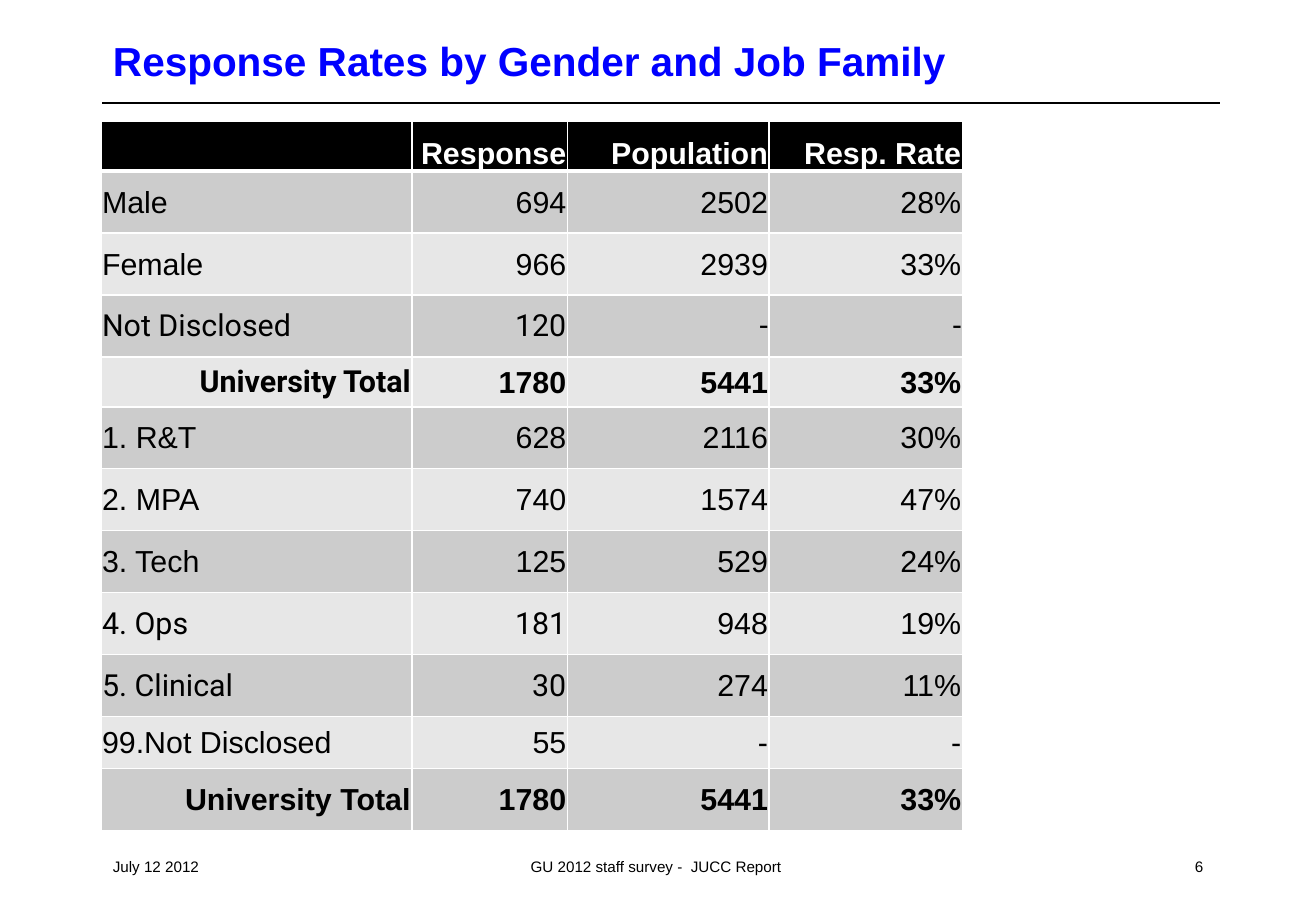
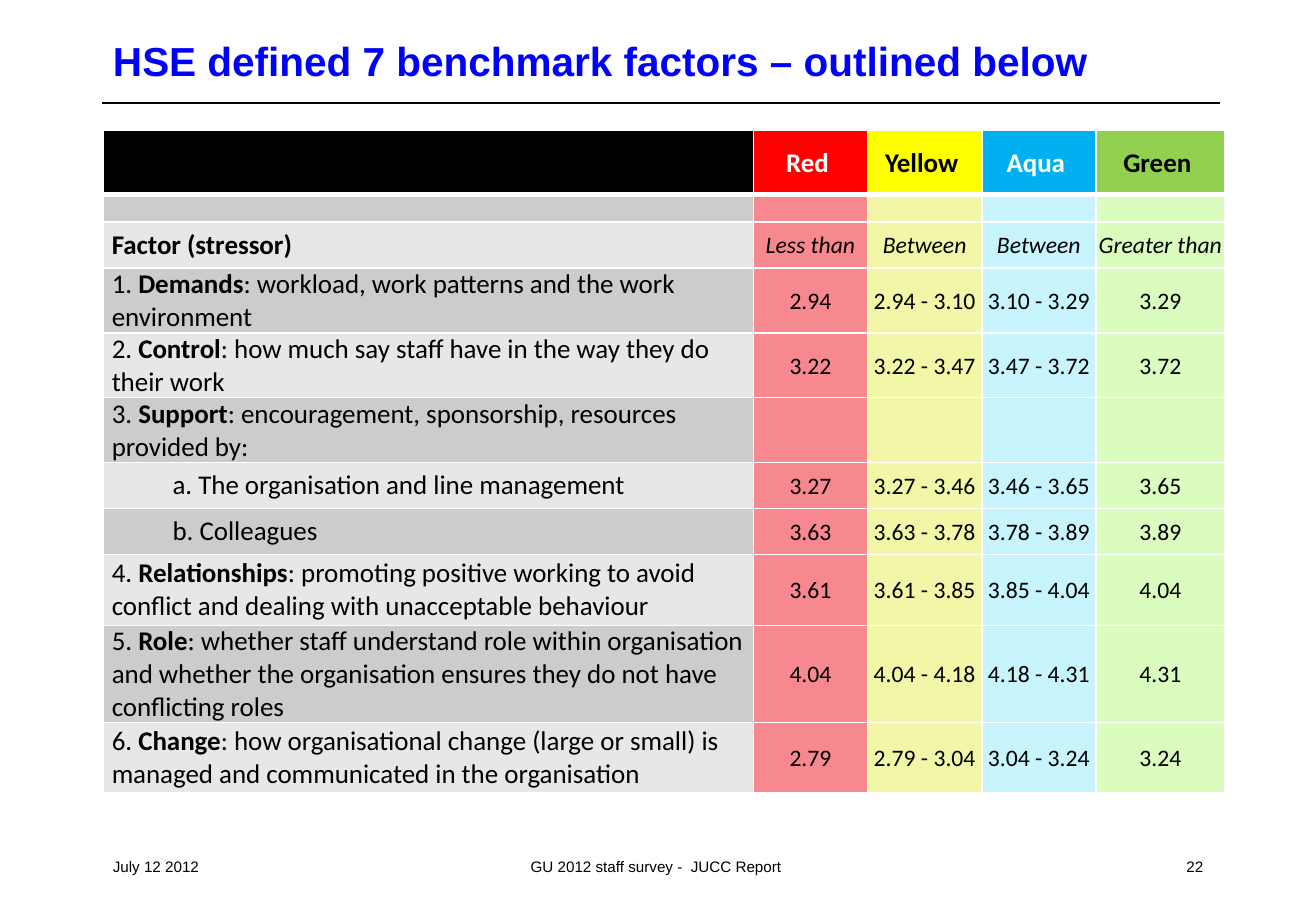
from pptx import Presentation
from pptx.dml.color import RGBColor
from pptx.enum.shapes import MSO_CONNECTOR
from pptx.enum.text import MSO_ANCHOR, MSO_AUTO_SIZE, PP_ALIGN
from pptx.oxml import parse_xml
from pptx.oxml.ns import nsdecls
from pptx.oxml.xmlchemy import OxmlElement
from pptx.util import Inches, Pt

LEFT, CENTER, RIGHT = PP_ALIGN.LEFT, PP_ALIGN.CENTER, PP_ALIGN.RIGHT
TOP, MIDDLE, BOTTOM = MSO_ANCHOR.TOP, MSO_ANCHOR.MIDDLE, MSO_ANCHOR.BOTTOM
NO_FIT = MSO_AUTO_SIZE.NONE
STRAIGHT = MSO_CONNECTOR.STRAIGHT

rgb = RGBColor.from_string
BLACK, WHITE, TITLE_BLUE = "000000", "FFFFFF", "0000FF"
BANDS = ["CCCCCC", "E7E7E7"]
TITLE_FONT = {"name": "Arial", "size": Pt(24), "bold": True}
FOOTER_FONT = {"name": "Arial", "size": Pt(9)}
TITLE_ONLY = 5

prs = Presentation()
prs.slide_width, prs.slide_height = Inches(10.83), Inches(7.5)


def start_slide(title_text, number, table_box, column_widths, row_heights):
    """Add a slide with title, rule, footer and an empty table; return the table."""
    slide = prs.slides.add_slide(prs.slide_layouts[TITLE_ONLY])
    title = slide.shapes.title
    title.left, title.top, title.width, title.height = (
        Inches(v) for v in (0.83, 0.25, 9.16, 0.58))
    title.text_frame.text = title_text
    title.text_frame.vertical_anchor = TOP
    title.text_frame.auto_size = NO_FIT
    heading = title.text_frame.paragraphs[0]
    heading.alignment = LEFT
    for key, value in TITLE_FONT.items():
        setattr(heading.runs[0].font, key, value)
    heading.runs[0].font.color.rgb = rgb(TITLE_BLUE)

    rule = slide.shapes.add_connector(
        STRAIGHT, Inches(0.84), Inches(0.85), Inches(10.04), Inches(0.85))
    rule.line.color.rgb = rgb(BLACK)
    rule.line.width = Pt(1)
    rule._element.spPr.append(OxmlElement("a:effectLst"))

    for text, left, width, align in [
        ("July 12 2012", 0.83, 2.25, LEFT),
        ("GU 2012 staff survey -  JUCC Report ", 3.51, 3.81, CENTER),
        (str(number), 7.75, 2.25, RIGHT),
    ]:
        footer = slide.shapes.add_textbox(
            Inches(left), Inches(6.92), Inches(width), Inches(0.42)).text_frame
        footer.word_wrap = True
        footer.vertical_anchor = MIDDLE
        footer.text = text
        line = footer.paragraphs[0]
        line.alignment = align
        for key, value in FOOTER_FONT.items():
            setattr(line.runs[0].font, key, value)
        line.runs[0].font.color.rgb = rgb(BLACK)

    table = slide.shapes.add_table(
        len(row_heights), len(column_widths), *(Inches(v) for v in table_box)).table
    for column, width in zip(table.columns, column_widths):
        column.width = Inches(width)
    for row, height in zip(table.rows, row_heights):
        row.height = Inches(height)
    return table


def write_cell(cell, text, fill, font, color=BLACK, align=LEFT, anchor=MIDDLE,
               margins=(0.01, 0.01, 0.01, 0), bottom_line=1):
    """Fill one cell; parts of the text between | signs are bold."""
    properties = cell._tc.get_or_add_tcPr()
    for side, points in [("L", 1), ("R", 1), ("T", 1), ("B", bottom_line)]:
        properties.append(parse_xml(
            f'<a:ln{side} {nsdecls("a")} w="{Pt(points)}"><a:solidFill>'
            f'<a:srgbClr val="{WHITE}"/></a:solidFill></a:ln{side}>'))
    cell.fill.solid()
    cell.fill.fore_color.rgb = rgb(fill)
    cell.vertical_anchor = anchor
    (cell.margin_left, cell.margin_top,
     cell.margin_right, cell.margin_bottom) = (Inches(v) for v in margins)
    paragraph = cell.text_frame.paragraphs[0]
    paragraph.alignment = align
    if not text:
        paragraph._p.get_or_add_endParaRPr().set("sz", "1300")
        return
    for index, part in enumerate(text.split("|")):
        if not part:
            continue
        run = paragraph.add_run()
        run.text = part
        run.font.bold = index % 2 == 1
        run.font.color.rgb = rgb(color)
        for key, value in font.items():
            setattr(run.font, key, value)


# Response rates
TOTAL = "University Total"
response_rows = [
    ("", "Response", "Population", "Resp. Rate"),
    ("Male", "694", "2502", "28%"),
    ("Female", "966", "2939", "33%"),
    ("Not Disclosed", "120", "-", "-"),
    (TOTAL, "1780", "5441", "33%"),
    ("1. R&T", "628", "2116", "30%"),
    ("2. MPA", "740", "1574", "47%"),
    ("3. Tech", "125", "529", "24%"),
    ("4. Ops", "181", "948", "19%"),
    ("5. Clinical", "30", "274", "11%"),
    ("99.Not Disclosed", "55", "-", "-"),
    (TOTAL, "1780", "5441", "33%"),
]
# Row number: how many leading cells are set in Roboto
roboto_cells = {3: 4, 4: 1, 8: 2, 9: 2}
response_heights = [0.41] + [0.51] * 3 + [0.41] + [0.51] * 5 + [0.43, 0.51]
response_table = start_slide(
    "Response Rates by Gender and Job Family", 6, (0.83, 1, 7.1, 5.85),
    [2.56, 1.28, 1.66, 1.59], response_heights)
for r, values in enumerate(response_rows):
    header, total = r == 0, values[0] == TOTAL
    for c, value in enumerate(values):
        write_cell(
            response_table.cell(r, c), value,
            BLACK if header else BANDS[(r - 1) % 2],
            {"name": "Roboto" if c < roboto_cells.get(r, 0) else "Arial",
             "size": Pt(18), "bold": header or total},
            color=WHITE if header else BLACK,
            align=RIGHT if c or total else LEFT,
            anchor=BOTTOM if header else MIDDLE,
            bottom_line=3 if header else 1)

# Benchmark factors
# Rating, header fill, header text colour, column fill
ratings = [
    ("Red ", "FF0000", WHITE, "F88890"),
    ("Yellow ", "FFFF00", BLACK, "F1F7A7"),
    ("Aqua ", "00B0F0", WHITE, "C7F4FD"),
    ("Green ", "92D050", BLACK, "DAFDBF"),
]
# Factor and the three limits between the four ratings
factors = [
    ("1. |Demands|: workload, work patterns and the work environment",
     ("2.94", "3.10", "3.29")),
    ("2. |Control|: how much say staff have in the way they do their work",
     ("3.22", "3.47", "3.72")),
    ("3. |Support|: encouragement, sponsorship, resources provided by:", None),
    ("\ta. The organisation and line management", ("3.27", "3.46", "3.65")),
    ("\tb. Colleagues", ("3.63", "3.78", "3.89")),
    ("4. |Relationships|: promoting positive working to avoid conflict and "
     "dealing with unacceptable behaviour", ("3.61", "3.85", "4.04")),
    ("5. |Role|: whether staff understand role within organisation and whether "
     "the organisation ensures they do not have conflicting roles",
     ("4.04", "4.18", "4.31")),
    ("6. |Change|: how organisational change (large or small) is managed and "
     "communicated in the organisation", ("2.79", "3.04", "3.24")),
]
benchmark_rows = [
    ("", "", "", "", ""),
    ("|Factor (stressor)|", "Less than", "Between", "Between", "Greater than"),
]
for factor, limits in factors:
    if limits:
        low, mid, high = limits
        ranges = (low, f"{low} - {mid}", f"{mid} - {high}", high)
    else:
        ranges = ("",) * len(ratings)
    benchmark_rows.append((factor, *ranges))

benchmark_table = start_slide(
    "HSE defined 7 benchmark factors – outlined below", 22, (0.85, 1.07, 9.25, 5.47),
    [5.35] + [0.94] * 3 + [1.06], [0.53, 0.2] + [0.38] * 6 + [0.58] * 3)
factor_font = {"name": "Calibri", "size": Pt(16)}
write_cell(benchmark_table.cell(0, 0), "", BLACK, factor_font, bottom_line=3)
for c, (rating, header_fill, header_color, _) in enumerate(ratings, 1):
    write_cell(benchmark_table.cell(0, c), f"|{rating}|", header_fill, factor_font,
               color=header_color, align=CENTER, bottom_line=3)
for r, (factor, *ranges) in enumerate(benchmark_rows, 1):
    write_cell(benchmark_table.cell(r, 0), factor, BANDS[(r - 1) % 2], factor_font,
               margins=(0.07, 0, 0.07, 0))
    range_font = {"name": "Calibri", "size": Pt(14), "italic": r == 2}
    for c, value in enumerate(ranges, 1):
        write_cell(benchmark_table.cell(r, c), value, ratings[c - 1][3], range_font,
                   align=CENTER)

prs.save("out.pptx")
